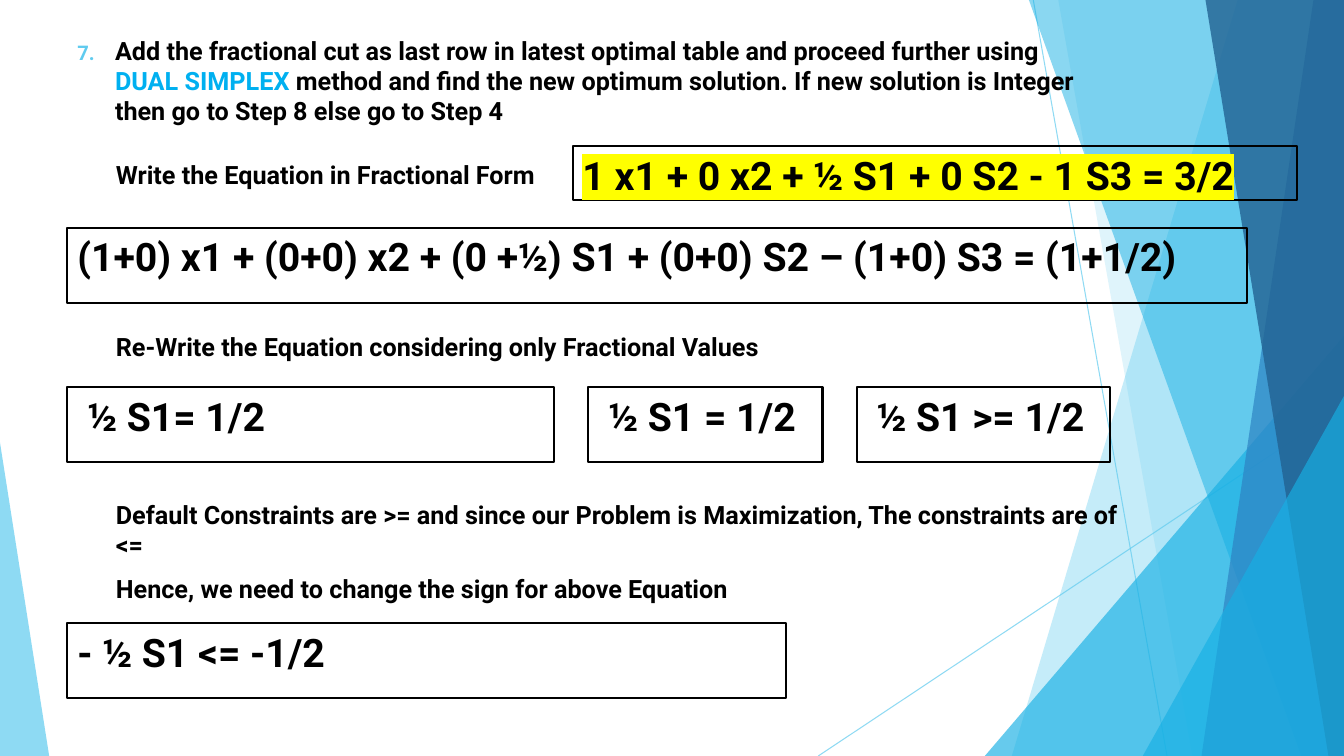
from lxml import etree
from pptx import Presentation
from pptx import util as u
from pptx.dml.color import RGBColor
from pptx.enum import shapes, text
from pptx.oxml.ns import qn

W, H = 33.87, 19.05
FONT = "Roboto"
COLORS = {"black": "000000", "accent": "00B0F0", "sky": "5FCBEF", "cyan": "17B0E4",
          "blue": "2E83C3", "navy": "226292", "yellow": "FFFF00"}

RAYS = [(26.04, 0, 29.41, H), (W, 10.24, 20.62, H)]
FACETS = [
    ("band", (31.19, 25.5), "sky", 36),
    ("band", (26.67, 30.05), "sky", 20),
    ("triangle", (24.82, 9.05, 10.59, 1), "cyan", 66),
    ("band", (25.93, 32.79), "cyan", 50),
    ("band", (33.1, 30.28), "blue", 70),
    ("band", (30.38, 33.48), "navy", 80),
    ("triangle", (28.8, 5.07, 9.07, 1), "cyan", 66),
    ("triangle", (0, 1.24, 7.9, 0), "sky", 70),
]

STEP = [("Add the fractional cut as last row in latest optimal table and proceed further using ", "black"),
        ("DUAL SIMPLEX ", "accent"),
        ("method and find the new optimum solution. If new solution is Integer "
         "then go to Step 8 else go to Step 4", "black")]
STEP_NUMBER = 7
NOTES = [
    (3.89, 26.26, ["Write the Equation in Fractional Form"]),
    (8.23, 26.26, ["Re-Write the Equation considering only Fractional Values"]),
    (12.45, 25.76, ["Default Constraints are >= and since our Problem is Maximization, "
                    "The constraints are of <=",
                    "Hence, we need to change the sign for above Equation"]),
]
LEFT, NOTE_LEFT, BOX_H = 1.7, 2.67, 1.9
INSET, WIDE_INSET = 0.25, 0.5
EQUATIONS = [
    (LEFT, 5.74, 29.72, BOX_H, INSET, "(1+0) x1 + (0+0) x2 + (0 +½) S1 + (0+0) S2 – (1+0) S3 = (1+1/2)", None),
    (LEFT, 9.75, 12.27, BOX_H, WIDE_INSET, "½ S1= 1/2", None),
    (14.83, 9.75, 5.9, BOX_H, WIDE_INSET, "½ S1 = 1/2", None),
    (21.59, 9.75, 6.38, BOX_H, WIDE_INSET, "½ S1 >= 1/2", None),
    (LEFT, 15.7, 18.11, BOX_H, INSET, "- ½ S1 <= -1/2", None),
    (14.43, 3.68, 18.26, 1.37, INSET, "1 x1 + 0 x2 + ½ S1 + 0 S2 - 1 S3 = 3/2", "yellow"),
]

prs = Presentation()
prs.slide_width, prs.slide_height = u.Cm(W), u.Cm(H)
s = prs.slides.add_slide(prs.slide_layouts[6])


def rgb(name):
    return RGBColor.from_string(COLORS[name])


def set_alpha(fill_parent, percent):
    color = fill_parent.find(".//" + qn("a:srgbClr"))
    etree.SubElement(color, qn("a:alpha"), val=str(percent * 1000))


def add_ray(x1, y1, x2, y2):
    c = s.shapes.add_connector(shapes.MSO_CONNECTOR.STRAIGHT, u.Cm(x1), u.Cm(y1), u.Cm(x2), u.Cm(y2))
    c.line.color.rgb = rgb("sky")
    c.line.width = u.Pt(0.75)
    sp_pr = c._element.spPr
    set_alpha(sp_pr, 70)
    etree.SubElement(sp_pr, qn("a:effectLst"))


def add_facet(kind, geometry, color, alpha):
    if kind == "band":
        top_x, bottom_x = geometry
        corners = [(u.Cm(x), u.Cm(y)) for x, y in ((top_x, 0), (W, 0), (W, H), (bottom_x, H))]
        builder = s.shapes.build_freeform(*corners[0])
        builder.add_line_segments(corners[1:], close=True)
        sp = builder.convert_to_shape()
    else:
        x, w, h, apex = geometry
        sp = s.shapes.add_shape(shapes.MSO_SHAPE.ISOSCELES_TRIANGLE, u.Cm(x), u.Cm(H - h), u.Cm(w), u.Cm(h))
        sp.adjustments[0] = apex
    sp.shadow.inherit = False
    sp.fill.solid()
    sp.fill.fore_color.rgb = rgb(color)
    set_alpha(sp._element.spPr, alpha)
    sp.line.fill.background()


def add_run(p, words, size, color="black", highlight=None):
    r = p.add_run()
    r.text = words
    r.font.size = u.Pt(size)
    r.font.bold = True
    r.font.color.rgb = rgb(color)
    if highlight:
        mark = etree.SubElement(r.font._element, qn("a:highlight"))
        etree.SubElement(mark, qn("a:srgbClr"), val=COLORS[highlight])
    r.font.name = FONT


def prepare(sp):
    tf = sp.text_frame
    tf.word_wrap = True
    tf.vertical_anchor = text.MSO_ANCHOR.TOP
    tf.paragraphs[0].alignment = text.PP_ALIGN.LEFT
    return tf


def add_text(x, y, w, h):
    return prepare(s.shapes.add_textbox(u.Cm(x), u.Cm(y), u.Cm(w), u.Cm(h)))


def number(p, start):
    p_pr = p._p.get_or_add_pPr()
    p_pr.set("marL", str(u.Cm(0.95)))
    p_pr.set("indent", str(-u.Cm(0.95)))
    color = etree.SubElement(p_pr, qn("a:buClr"))
    etree.SubElement(color, qn("a:srgbClr"), val=COLORS["sky"])
    etree.SubElement(p_pr, qn("a:buSzPct"), val="80000")
    etree.SubElement(p_pr, qn("a:buFont"), typeface="+mj-lt")
    etree.SubElement(p_pr, qn("a:buAutoNum"), type="arabicPeriod", startAt=str(start))


for ray in RAYS:
    add_ray(*ray)
for facet in FACETS:
    add_facet(*facet)

p = add_text(LEFT, 0.76, 26.26, 2.62).paragraphs[0]
number(p, STEP_NUMBER)
for words, color in STEP:
    add_run(p, words, 18, color)

for y, w, lines in NOTES:
    tf = add_text(NOTE_LEFT, y, w, 1.35)
    for i, words in enumerate(lines):
        p = tf.add_paragraph() if i else tf.paragraphs[0]
        if i:
            p.space_before = u.Pt(10)
        add_run(p, words, 18)

for x, y, w, h, inset, words, highlight in EQUATIONS:
    sp = s.shapes.add_shape(shapes.MSO_SHAPE.RECTANGLE, u.Cm(x), u.Cm(y), u.Cm(w), u.Cm(h))
    sp.shadow.inherit = False
    sp.fill.background()
    sp.line.color.rgb = rgb("black")
    sp.line.width = u.Pt(1.5)
    tf = prepare(sp)
    tf.margin_left = u.Cm(inset)
    add_run(tf.paragraphs[0], words, 28, highlight=highlight)

prs.save("out.pptx")
